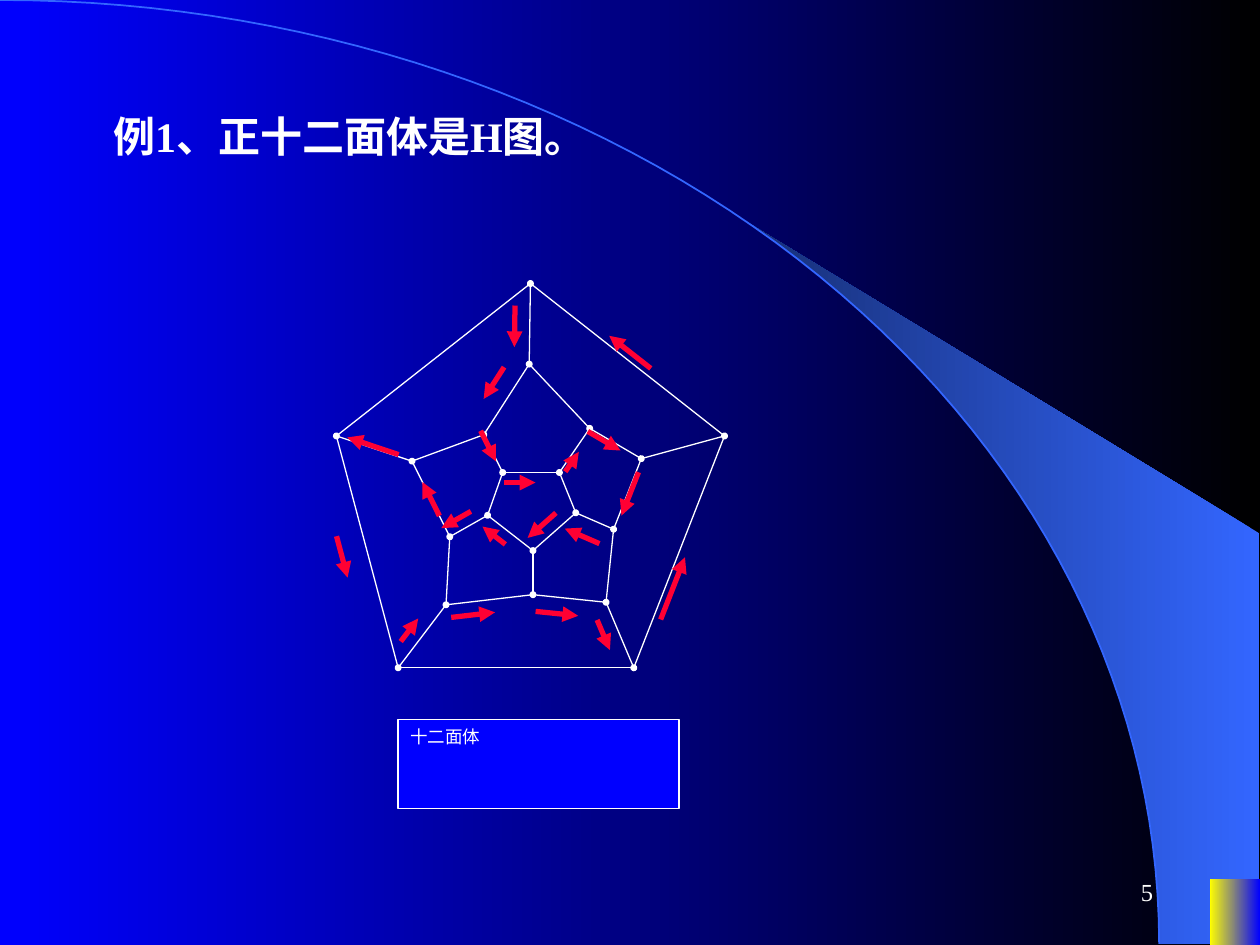
from math import cos, dist, pi, sin
from typing import NamedTuple

from lxml.etree import SubElement
from pptx import Presentation
from pptx.dml.color import RGBColor
from pptx.enum.shapes import MSO_CONNECTOR as Link, MSO_SHAPE as Kind
from pptx.enum.text import MSO_ANCHOR as Anchor, PP_ALIGN as Align
from pptx.oxml.ns import qn
from pptx.util import Cm, Pt

FONT = "Times New Roman"
WHITE, RED, BLUE, SKY = "FFFFFF", "FF0033", "0000FF", "3366FF"
BLACK, NAVY, YELLOW = "000000", "172F75", "FFFF00"
WIDE, HIGH = 9.2, 7.49  # radii of the backdrop's arc
SIDES = 5


class Node(NamedTuple):
    x: float
    y: float


class Step(NamedTuple):
    """One move of the cycle: its goal, and its arrow's size and shift."""
    ring: str
    spot: int
    size: float
    dx: float
    dy: float


# Four rings of five nodes, each clockwise from the top (inches)
RINGS = {
    "rim": [Node(4.21, 2.25), Node(5.75, 3.46), Node(5.03, 5.3),
            Node(3.16, 5.3), Node(2.67, 3.46)],
    "hub": [Node(4.2, 2.89), Node(5.09, 3.64), Node(4.81, 4.78),
            Node(3.54, 4.8), Node(3.27, 3.66)],
    "gap": [Node(4.68, 3.4), Node(4.87, 4.2), Node(4.23, 4.72),
            Node(3.57, 4.26), Node(3.84, 3.45)],
    "core": [Node(4.44, 3.75), Node(4.57, 4.07), Node(4.23, 4.37),
             Node(3.87, 4.09), Node(3.99, 3.75)],
}

# Hamilton cycle: each step starts where the one before it ended
CYCLE = [
    Step("rim", 3, 0.34, -0.2, 0.04),
    Step("hub", 3, 0.23, -0.1, -0.05),
    Step("gap", 2, 0.35, -0.13, 0.12),
    Step("hub", 2, 0.34, -0.1, 0.12),
    Step("rim", 2, 0.26, -0.13, 0),
    Step("rim", 1, 0.53, -0.05, 0.29),
    Step("rim", 0, 0.42, 0.02, -0.06),
    Step("hub", 0, 0.33, -0.12, 0.02),
    Step("gap", 4, 0.3, -0.1, -0.13),
    Step("core", 4, 0.27, -0.04, -0.06),
    Step("core", 0, 0.25, -0.09, 0.08),
    Step("gap", 0, 0.19, -0.02, 0.09),
    Step("hub", 1, 0.3, -0.09, -0.02),
    Step("gap", 1, 0.37, 0.02, 0),
    Step("core", 1, 0.3, -0.1, 0.12),
    Step("core", 2, 0.3, -0.1, -0.05),
    Step("core", 3, 0.23, -0.13, 0.02),
    Step("gap", 3, 0.27, -0.1, -0.05),
    Step("hub", 4, 0.3, 0, 0),
    Step("rim", 4, 0.43, -0.01, -0.02),
]


def inch(val: float) -> Cm:
    return Cm(val * 2.54)


def color(code: str) -> RGBColor:
    return RGBColor.from_string(code)


def blend(fill, right: str, left: str) -> None:
    """Fill with a gradient that runs from right to left."""
    fill.gradient()
    fill.gradient_angle = 180
    for stop, code in zip(fill.gradient_stops, (right, left)):
        stop.color.rgb = color(code)


def stroke(line, code: str, width: float) -> None:
    line.color.rgb = color(code)
    line.width = Pt(width)


def draw(shapes, start: Node, end: Node, *, code: str = WHITE,
         width: float = 0.75, dot: bool = False, tip: bool = False) -> None:
    """Straight line with a dot at its start or an arrow tip at its end."""
    link = shapes.add_connector(Link.STRAIGHT, *map(inch, (*start, *end)))
    stroke(link.line, code, width)
    props = link._element.spPr
    line = props.find(qn("a:ln"))
    if dot:
        SubElement(line, qn("a:headEnd"), type="oval", w="sm", len="sm")
    if tip:
        SubElement(line, qn("a:tailEnd"), type="triangle")
    SubElement(props, qn("a:effectLst"))


def mesh(shapes) -> None:
    """The 30 edges; every node starts one dotted edge."""
    rim, hub, gap, core = RINGS.values()
    for i in range(SIDES):
        after = (i + 1) % SIDES
        draw(shapes, rim[i], rim[after], dot=True)
        draw(shapes, hub[i], rim[i], dot=True)
        draw(shapes, gap[i], core[i], dot=True)
        draw(shapes, core[i], core[after], dot=True)
        draw(shapes, hub[i], gap[i])
        draw(shapes, gap[i], hub[after])


def tour(shapes) -> None:
    """An arrow beside each edge of the cycle, parallel to the edge."""
    last = CYCLE[-1]
    here = RINGS[last.ring][last.spot]
    for step in CYCLE:
        goal = RINGS[step.ring][step.spot]
        x = (here.x + goal.x) / 2 + step.dx
        y = (here.y + goal.y) / 2 + step.dy
        half = step.size / 2 / dist(here, goal)
        run, rise = (goal.x - here.x) * half, (goal.y - here.y) * half
        draw(shapes, Node(x - run, y - rise), Node(x + run, y + rise),
             code=RED, width=3, tip=True)
        here = goal


def arc(start: float = 0, parts: int = 60) -> list[Node]:
    """Quarter ellipse from the angle start to the slide's foot."""
    turns = [start + (pi / 2 - start) * i / parts for i in range(parts + 1)]
    return [Node(WIDE * sin(t), HIGH * (1 - cos(t))) for t in turns]


def trace(shapes, nodes: list[Node], *, close: bool):
    spots = [(inch(x), inch(y)) for x, y in nodes]
    pen = shapes.build_freeform(*spots[0], scale=1.0)
    pen.add_line_segments(spots[1:], close=close)
    shape = pen.convert_to_shape()
    shape.shadow.inherit = False
    return shape


def box(shapes, x: float, y: float, w: float, h: float):
    shape = shapes.add_shape(Kind.RECTANGLE, *map(inch, (x, y, w, h)))
    shape.shadow.inherit = False
    shape.line.fill.background()
    return shape


def label(shape, text: str, *, size: float, bold: bool = False,
          align=Align.LEFT, anchor=Anchor.TOP, indent: float = 0) -> None:
    frame = shape.text_frame
    frame.word_wrap = True
    frame.vertical_anchor = anchor
    para = frame.paragraphs[0]
    para.alignment = align
    if indent:
        para._p.get_or_add_pPr().set("indent", str(inch(indent)))
    run = para.add_run()
    run.text = text
    font = run.font
    font.name, font.size, font.bold = FONT, Pt(size), bold
    font.color.rgb = color(WHITE)


def scene(slide) -> None:
    """Backdrop: gradient, swoosh, arc and corner block."""
    shapes = slide.shapes
    blend(slide.background.fill, BLACK, BLUE)
    edge = [Node(9.99, HIGH), Node(9.99, 4.23)]
    swoosh = trace(shapes, arc(0.7) + edge, close=True)
    blend(swoosh.fill, SKY, NAVY)
    swoosh.line.fill.background()
    curve = trace(shapes, arc(), close=False)
    curve.fill.background()
    stroke(curve.line, SKY, 1)
    blend(box(shapes, 9.6, 6.98, 0.4, 0.52).fill, BLUE, YELLOW)


def main() -> None:
    deck = Presentation()
    deck.slide_width, deck.slide_height = inch(10), inch(7.5)
    slide = deck.slides.add_slide(deck.slide_layouts[6])
    shapes = slide.shapes
    scene(slide)

    # Title
    title = shapes.add_textbox(*map(inch, (0.5, 0.83, 8.17, 0.5)))
    label(title, "例1、正十二面体是H图。", size=24, bold=True, indent=0.3)

    # Graph with its caption, then the cycle
    graph = shapes.add_group_shape().shapes
    mesh(graph)
    note = box(graph, 3.16, 5.71, 2.23, 0.71)
    note.fill.solid()
    note.fill.fore_color.rgb = color(BLUE)
    stroke(note.line, WHITE, 0.75)
    label(note, "十二面体", size=10, align=Align.JUSTIFY)
    tour(shapes)

    # Page number
    page = shapes.add_textbox(*map(inch, (7.17, 6.83, 2.08, 0.5)))
    label(page, "5", size=14, align=Align.RIGHT, anchor=Anchor.MIDDLE)

    deck.save("out.pptx")


if __name__ == "__main__":
    main()
